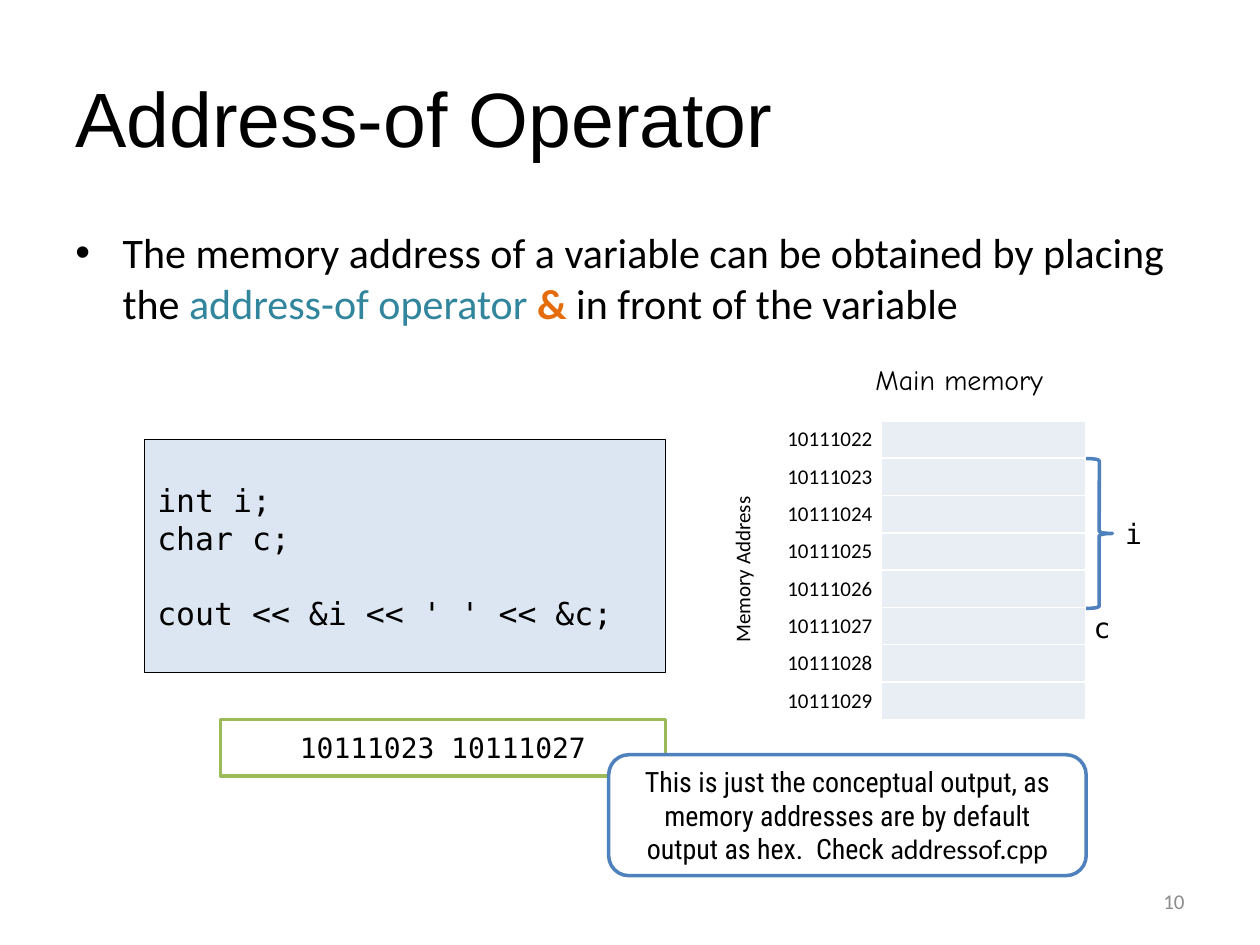
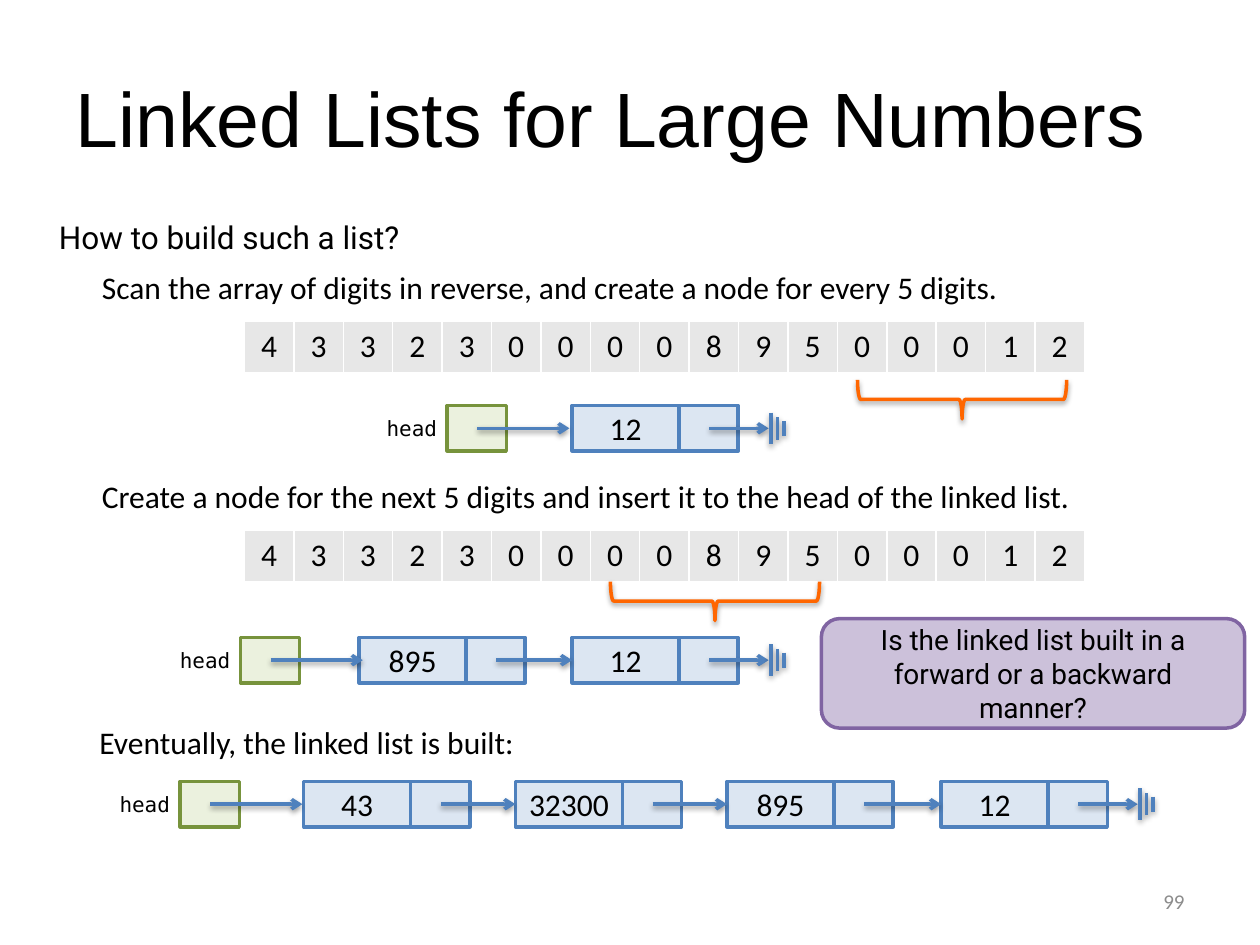
from lxml.etree import SubElement
from pptx import Presentation
from pptx.dml.color import RGBColor
from pptx.enum.shapes import MSO_CONNECTOR as Connector, MSO_SHAPE as Preset
from pptx.enum.text import MSO_ANCHOR as Anchor, MSO_AUTO_SIZE as AutoSize, PP_ALIGN as Align
from pptx.oxml.ns import qn
from pptx.util import Pt

BLACK = RGBColor(0, 0, 0)
WHITE = RGBColor(255, 255, 255)
GREY = RGBColor(0x8C, 0x8C, 0x8C)
TEAL = RGBColor(0x31, 0x85, 0x9C)
ORANGE = RGBColor(0xE4, 0x6C, 0x0A)
BRACE_ORANGE = RGBColor(0xFF, 0x66, 0x00)
BLUE = RGBColor(0x4F, 0x81, 0xBD)
PALE_BLUE = RGBColor(0xDC, 0xE6, 0xF2)
MEMORY_FILL = RGBColor(0xE9, 0xED, 0xF4)
DIGIT_FILL = RGBColor(0xE7, 0xE7, 0xE7)
GREEN = RGBColor(0x9B, 0xBB, 0x59)
DARK_GREEN = RGBColor(0x77, 0x93, 0x3C)
PALE_GREEN = RGBColor(0xEB, 0xF1, 0xDE)
PURPLE = RGBColor(0x80, 0x64, 0xA2)
PALE_PURPLE = RGBColor(0xCC, 0xC1, 0xDA)

BODY_FONT = "Calibri"
CODE_FONT = "DejaVu Sans Mono"
DIGITS = "43323000089500012"
MEMORY_TOP = 240.5
MEMORY_ROW = 21.33
DATA_WIDTH = 61.2
LINK_WIDTH = 33.8
NODE_HEIGHT = 25.9


def style_span(span, size, font=BODY_FONT, color=BLACK, bold=False):
    span.font.size = Pt(size)
    span.font.name = font
    span.font.color.rgb = color
    span.font.bold = bold


def write(frame, text, size, font=BODY_FONT, color=BLACK, align=Align.LEFT):
    frame.text = text
    for para in frame.paragraphs:
        para.alignment = align
        for span in para.runs:
            style_span(span, size, font, color)


def add_text(page, bounds, text, size, font=BODY_FONT, color=BLACK, align=Align.LEFT, anchor=Anchor.MIDDLE):
    box = page.shapes.add_textbox(*map(Pt, bounds))
    box.text_frame.word_wrap = True
    box.text_frame.vertical_anchor = anchor
    write(box.text_frame, text, size, font, color, align)
    return box


def add_label(page, bounds, text, size, font=BODY_FONT):
    box = add_text(page, bounds, text, size, font, anchor=Anchor.TOP)
    box.text_frame.word_wrap = False
    box.text_frame.auto_size = AutoSize.SHAPE_TO_FIT_TEXT
    return box


def add_panel(page, bounds, fill, line, width=2, preset=Preset.RECTANGLE):
    panel = page.shapes.add_shape(preset, *map(Pt, bounds))
    panel.shadow.inherit = False
    panel.fill.solid()
    panel.fill.fore_color.rgb = fill
    panel.line.color.rgb = line
    panel.line.width = Pt(width)
    panel.text_frame.word_wrap = True
    panel.text_frame.vertical_anchor = Anchor.MIDDLE
    return panel


def add_shadow(shape):
    properties = shape._element.spPr
    effects = properties.find(qn("a:effectLst"))
    if effects is None:
        effects = SubElement(properties, qn("a:effectLst"))
    shadow = SubElement(effects, qn("a:outerShdw"), blurRad="40000", dist="20000", dir="5400000", rotWithShape="0")
    color = SubElement(shadow, qn("a:srgbClr"), val="000000")
    SubElement(color, qn("a:alpha"), val="38000")


def add_brace(page, bounds, color):
    brace = page.shapes.add_shape(Preset.RIGHT_BRACE, *map(Pt, bounds))
    brace.shadow.inherit = False
    brace.fill.background()
    brace.line.color.rgb = color
    brace.line.width = Pt(2)
    return brace


def add_digit_brace(page, left, top):
    brace = add_brace(page, (left, top, 22.3, 119.5), BRACE_ORANGE)
    brace.rotation = 90
    add_shadow(brace)


def add_line(page, start, end, arrow=False):
    line = page.shapes.add_connector(Connector.STRAIGHT, *map(Pt, (*start, *end)))
    line.line.color.rgb = BLUE
    line.line.width = Pt(2)
    if arrow:
        SubElement(line.line._get_or_add_ln(), qn("a:tailEnd"), type="arrow")
    add_shadow(line)


def style_cell(cell, fill):
    cell.fill.solid()
    cell.fill.fore_color.rgb = fill
    cell.vertical_anchor = Anchor.TOP
    properties = cell._tc.get_or_add_tcPr()
    for index, side in enumerate(("lnL", "lnR", "lnT", "lnB")):
        border = properties.makeelement(qn(f"a:{side}"), {"w": "12700"})
        solid = SubElement(border, qn("a:solidFill"))
        SubElement(solid, qn("a:srgbClr"), val=str(WHITE))
        properties.insert(index, border)


def add_grid(page, rows, columns, left, top, cell_width, cell_height, fill):
    bounds = (left, top, columns * cell_width, rows * cell_height)
    table = page.shapes.add_table(rows, columns, *map(Pt, bounds)).table
    table.first_row = False
    table.horz_banding = False
    for column in table.columns:
        column.width = Pt(cell_width)
    for row in table.rows:
        row.height = Pt(cell_height)
    for cell in table.iter_cells():
        style_cell(cell, fill)
    return table


def add_digit_row(page, top):
    table = add_grid(page, 1, len(DIGITS), 139.7, top, 28.25, 29.5, DIGIT_FILL)
    for cell, digit in zip(table.iter_cells(), DIGITS):
        write(cell.text_frame, digit, 18, align=Align.CENTER)


def add_memory_grid(page):
    table = add_grid(page, 8, 1, 503.3, MEMORY_TOP, 117.4, MEMORY_ROW, MEMORY_FILL)
    for cell in table.iter_cells():
        cell.margin_top = cell.margin_bottom = 0
        SubElement(cell.text_frame.paragraphs[0]._p, qn("a:endParaRPr"), sz="1200")
    for index in range(8):
        top = MEMORY_TOP - 0.6 + index * MEMORY_ROW
        add_label(page, (442.8, top, 64, 21.6), str(10111022 + index), 12)


def add_node(page, left, top, value):
    data = add_panel(page, (left, top, DATA_WIDTH, NODE_HEIGHT), PALE_BLUE, BLUE)
    write(data.text_frame, value, 18, align=Align.CENTER)
    add_panel(page, (left + DATA_WIDTH, top, LINK_WIDTH, NODE_HEIGHT), PALE_BLUE, BLUE)


def add_linked_list(page, head_left, top, nodes):
    middle = top + NODE_HEIGHT / 2
    add_panel(page, (head_left, top, LINK_WIDTH, NODE_HEIGHT), PALE_GREEN, DARK_GREEN)
    add_label(page, (head_left - 41.8, top + 2.2, 43.9, 21.6), "head", 12, CODE_FONT)
    for left, value in nodes:
        add_node(page, left, top, value)
    add_line(page, (head_left + 17.2, middle), (head_left + 69.8, middle), arrow=True)
    lefts = [left for left, _ in nodes]
    last = lefts[-1]
    for left, target in zip(lefts, lefts[1:] + [last + 112.3]):
        add_line(page, (left + 78.5, middle), (target, middle), arrow=True)
    for index, half in enumerate((9, 6.4, 4.3)):
        bar = last + 113.8 + 3.6 * index
        add_line(page, (bar, middle - half), (bar, middle + half))


def add_page(deck, title, number):
    page = deck.slides.add_slide(deck.slide_layouts[6])
    add_text(page, (36, 21.6, 648, 90), title, 44, "Arial")
    add_text(page, (516.2, 500.4, 167.8, 28.8), number, 12, color=GREY, align=Align.RIGHT)
    return page


def add_bullet(page):
    box = add_text(page, (36, 126, 648, 356.4), "", 24, anchor=Anchor.TOP)
    para = box.text_frame.paragraphs[0]
    properties = para._p.get_or_add_pPr()
    properties.set("marL", str(Pt(27)))
    properties.set("indent", str(-Pt(27)))
    SubElement(properties, qn("a:buFont"), typeface="Arial")
    SubElement(properties, qn("a:buChar"), char="•")
    for text, color, bold in (
        ("The memory address of a variable can be obtained by placing the ", BLACK, False),
        ("address-of operator ", TEAL, False),
        ("&", ORANGE, True),
        (" in front of the variable", BLACK, False),
    ):
        span = para.add_run()
        span.text = text
        style_span(span, 24, color=color, bold=bold)


def build_address_page(deck):
    page = add_page(deck, "Address-of Operator", "10")
    add_bullet(page)
    code = add_panel(page, (82.8, 251.3, 297.4, 133.2), PALE_BLUE, BLACK, 0.75)
    write(code.text_frame, "int i;\nchar c;\ncout << &i << ' ' << &c;", 18, CODE_FONT)
    code.text_frame.paragraphs[2].space_before = Pt(21)
    add_memory_grid(page)
    add_label(page, (493.2, 203.8, 139.7, 26.6), "Main memory", 16, "Comic Neue")
    axis = add_label(page, (413.3, 284.4, 28.8, 90), "Memory Address", 12)
    axis.text_frame._txBody.bodyPr.set("vert", "vert270")
    add_brace(page, (620.6, 262, 15.1, 85.7), BLUE)
    add_label(page, (635.8, 291.6, 24.5, 26.6), "i", 16, CODE_FONT)
    add_label(page, (617.8, 345.6, 24.5, 26.6), "c", 16, CODE_FONT)
    output = add_panel(page, (126, 411.1, 254.2, 32.4), WHITE, GREEN)
    write(output.text_frame, "10111023 10111027", 16, CODE_FONT, align=Align.CENTER)
    remark = add_panel(page, (347.8, 431.3, 272.9, 69.1), WHITE, BLUE, preset=Preset.ROUNDED_RECTANGLE)
    text = "This is just the conceptual output, as memory addresses are by default output as hex.  Check "
    write(remark.text_frame, text, 16, "Roboto Condensed", align=Align.CENTER)
    file_name = remark.text_frame.paragraphs[0].add_run()
    file_name.text = "addressof.cpp"
    style_span(file_name, 16)


def build_list_page(deck):
    page = add_page(deck, "Linked Lists for Large Numbers", "99")
    add_label(page, (26.6, 121, 241.2, 28.8), "How to build such a list?", 18, "Roboto")
    for left, top, width, step in (
        (51.1, 149.8, 530, "Scan the array of digits in reverse, and create a node for every 5 digits."),
        (51.1, 269.3, 571, "Create a node for the next 5 digits and insert it to the head of the linked list."),
        (49.7, 409.7, 257, "Eventually, the linked list is built:"),
    ):
        add_label(page, (left, top, width, 28.8), step, 18)
    for row_top, brace_left, brace_top in ((183.6, 538.6, 168.5), (303.1, 397.4, 283.7)):
        add_digit_row(page, row_top)
        add_digit_brace(page, brace_left, brace_top)
    add_linked_list(page, 255.6, 231.8, [(326.9, "12")])
    add_linked_list(page, 137.5, 364.3, [(205.2, "895"), (326.9, "12")])
    add_linked_list(page, 103, 446.6, [(173.5, "43"), (294.5, "32300"), (415.4, "895"), (537.8, "12")])
    question = add_panel(page, (469.4, 353.5, 241.9, 62.6), PALE_PURPLE, PURPLE, preset=Preset.ROUNDED_RECTANGLE)
    text = "Is the linked list built in a forward or a backward manner?"
    write(question.text_frame, text, 16, "Roboto", align=Align.CENTER)


def main():
    deck = Presentation()
    deck.slide_width = Pt(720)
    deck.slide_height = Pt(540)
    build_address_page(deck)
    build_list_page(deck)
    deck.save("out.pptx")


if __name__ == "__main__":
    main()
